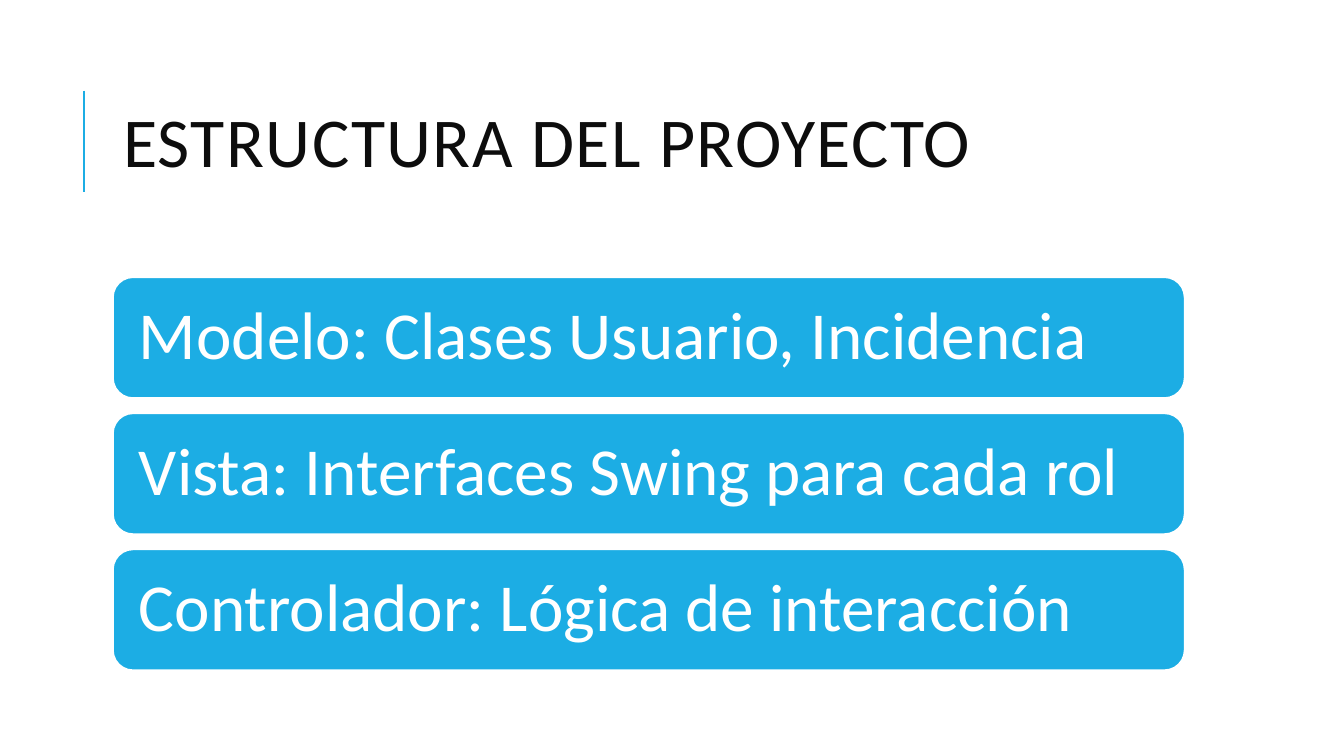
from pptx import Presentation
from pptx.dml.color import RGBColor
from pptx.enum.shapes import MSO_CONNECTOR as Link, MSO_SHAPE as Shape
from pptx.enum.text import MSO_ANCHOR as Anchor, MSO_AUTO_SIZE as Fit, PP_ALIGN as Align
from pptx.oxml.ns import qn
from pptx.util import Pt
from lxml.etree import SubElement

PX = 9144
COLORS = {"blue": "1CADE4", "white": "FFFFFF", "ink": "0D0D0D"}
LAYERS = [
    "Modelo: Clases Usuario, Incidencia",
    "Vista: Interfaces Swing para cada rol",
    "Controlador: Lógica de interacción",
]
LEFT, WIDTH = 112, 1063
TOP, HEIGHT, STEP = 275, 120, 135


def px(*sizes):
    return [size * PX for size in sizes]


def color(name):
    return RGBColor.from_string(COLORS[name])


def write(frame, text, size, tint, lead):
    frame.text = text
    frame.word_wrap = True
    frame.auto_size = Fit.NONE
    frame.vertical_anchor = Anchor.MIDDLE
    para = frame.paragraphs[0]
    para.alignment = Align.LEFT
    para.line_spacing = lead
    run = para.runs[0]
    run.font.name = "Calibri"
    run.font.size = Pt(size)
    run.font.color.rgb = color(tint)
    return run


def add_title(slide, text):
    title = slide.shapes.title
    title.left, title.top, title.width, title.height = px(LEFT, 64, WIDTH, 164)
    run = write(title.text_frame, text, 50, "ink", 0.8)
    run.font._element.set("spc", "100")


def add_rule(slide, x, top, end):
    rule = slide.shapes.add_connector(Link.STRAIGHT, *px(x, top, x, end))
    rule.line.color.rgb = color("blue")
    rule.line.width = Pt(1.5)
    SubElement(rule._element.spPr, qn("a:effectLst"))


def add_layer(slide, text, top):
    box = slide.shapes.add_shape(Shape.ROUNDED_RECTANGLE, *px(LEFT, top, WIDTH, HEIGHT))
    box.shadow.inherit = False
    box.fill.solid()
    box.fill.fore_color.rgb = color("blue")
    box.line.color.rgb = color("white")
    box.line.width = Pt(1.25)
    frame = box.text_frame
    frame.margin_left, frame.margin_top, frame.margin_right, frame.margin_bottom = px(20, 20, 20, 20)
    write(frame, text, 48, "white", 0.9)


def main():
    deck = Presentation()
    deck.slide_width, deck.slide_height = px(1333, 750)
    slide = deck.slides.add_slide(deck.slide_layouts[5])
    add_rule(slide, 83, 90, 190)
    add_title(slide, "ESTRUCTURA DEL PROYECTO")
    for row, text in enumerate(LAYERS):
        add_layer(slide, text, TOP + row * STEP)
    deck.save("out.pptx")


if __name__ == "__main__":
    main()
